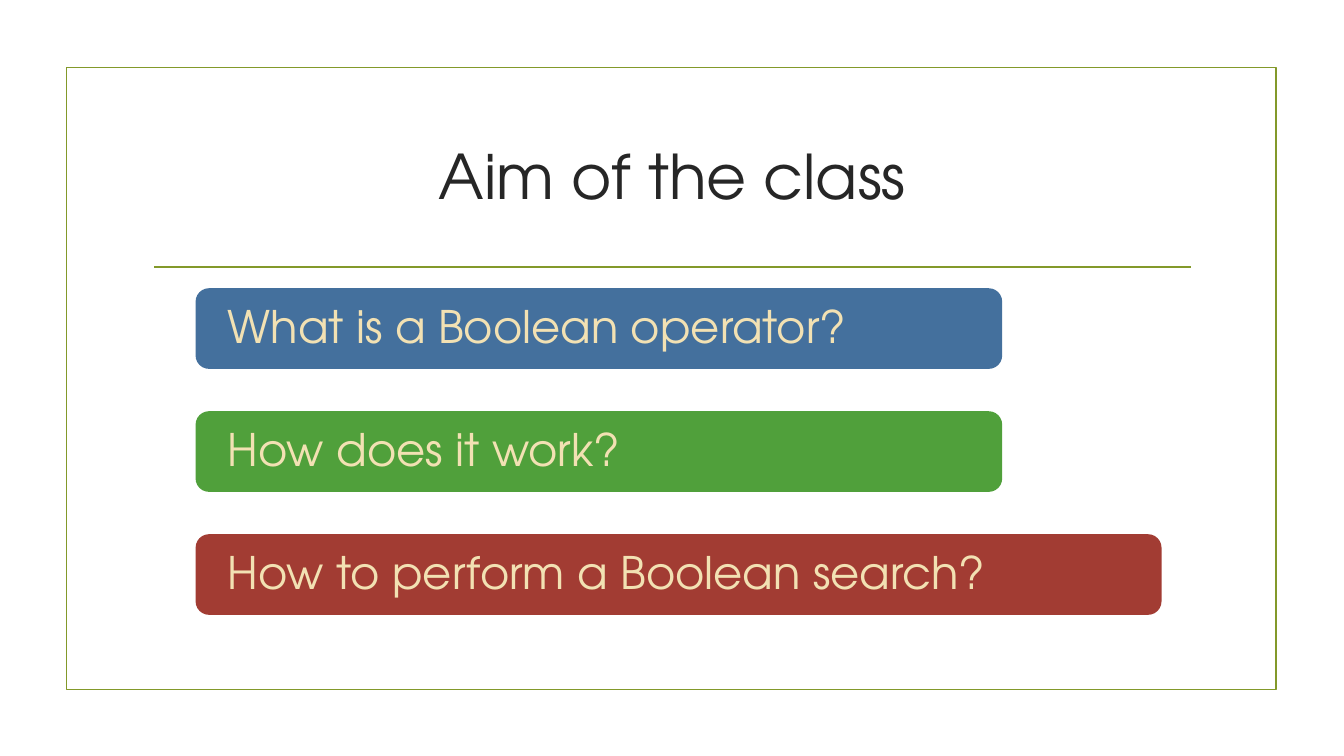
import pptx
import pptx.dml.color
import pptx.enum.shapes
import pptx.enum.text
import pptx.oxml
import pptx.oxml.ns
import pptx.util

RGBColor = pptx.dml.color.RGBColor
Inches = pptx.util.Inches
Pt = pptx.util.Pt
Shape = pptx.enum.shapes.MSO_SHAPE
Align = pptx.enum.text.PP_ALIGN
Anchor = pptx.enum.text.MSO_ANCHOR

OLIVE = RGBColor(0x83, 0x99, 0x2A)
DARK = RGBColor(0x26, 0x26, 0x26)
CREAM = RGBColor(0xF2, 0xE1, 0xB3)
BLUE = RGBColor(0x44, 0x70, 0x9D)
GREEN = RGBColor(0x50, 0xA0, 0x3B)
RED = RGBColor(0xA2, 0x3C, 0x33)

TOPICS = [
    ("What is a Boolean operator?", BLUE, 8),
    ("How does it work?", GREEN, 8),
    ("How to perform a Boolean search?", RED, 9.58),
]


def apply(target, values):
    for name, value in values.items():
        setattr(target, name, value)


class Board:
    font = "TeX Gyre Adventor"
    stroke = Pt(1.25)

    def __init__(self, slide):
        self.slide = slide

    def label(self, shape, text, size, color, align, inset):
        frame = shape.text_frame
        frame.text = text
        apply(frame, {
            "word_wrap": True,
            "vertical_anchor": Anchor.MIDDLE,
            "margin_left": Inches(inset),
            "margin_right": Inches(inset),
            "margin_top": 0,
            "margin_bottom": 0,
        })
        para = frame.paragraphs[0]
        apply(para, {"alignment": align, "line_spacing": 0.9})
        run = para.runs[0]
        apply(run.font, {"name": self.font, "size": Pt(size)})
        run.font.color.rgb = color

    def title(self, text, left, top, width, height):
        shape = self.slide.shapes.title
        apply(shape, {
            "left": Inches(left),
            "top": Inches(top),
            "width": Inches(width),
            "height": Inches(height),
        })
        self.label(shape, text, 44, DARK, Align.CENTER, 0.1)

    def shape(self, kind, left, top, width, height):
        shape = self.slide.shapes.add_shape(
            kind, Inches(left), Inches(top), Inches(width), Inches(height))
        shape.shadow.inherit = False
        return shape

    def border(self, left, top, width, height):
        shape = self.shape(Shape.RECTANGLE, left, top, width, height)
        shape.fill.background()
        shape.line.color.rgb = OLIVE
        shape.line.width = self.stroke

    def rule(self, left, right, top):
        line = self.slide.shapes.add_connector(
            pptx.enum.shapes.MSO_CONNECTOR.STRAIGHT,
            Inches(left), Inches(top), Inches(right), Inches(top))
        line.line.color.rgb = OLIVE
        line.line.width = self.stroke
        props = line.element.find(pptx.oxml.ns.qn("p:spPr"))
        props.append(pptx.oxml.parse_xml(
            "<a:effectLst %s/>" % pptx.oxml.ns.nsdecls("a")))

    def bar(self, text, color, left, top, width, height):
        shape = self.shape(Shape.ROUNDED_RECTANGLE, left, top, width, height)
        shape.fill.solid()
        shape.fill.fore_color.rgb = color
        shape.line.fill.background()
        self.label(shape, text, 32, CREAM, Align.LEFT, 0.28)


def main():
    deck = pptx.Presentation()
    apply(deck, {"slide_width": Inches(13.33), "slide_height": Inches(7.5)})
    board = Board(deck.slides.add_slide(deck.slide_layouts[5]))
    board.border(0.66, 0.67, 12, 6.17)
    board.rule(1.53, 11.81, 2.65)
    board.title("Aim of the class", 1.42, 1.07, 10.5, 1.43)
    for row, (text, color, width) in enumerate(TOPICS):
        board.bar(text, color, 1.94, 2.86 + row * 1.22, width, 0.8)
    deck.save("out.pptx")


if __name__ == "__main__":
    main()
